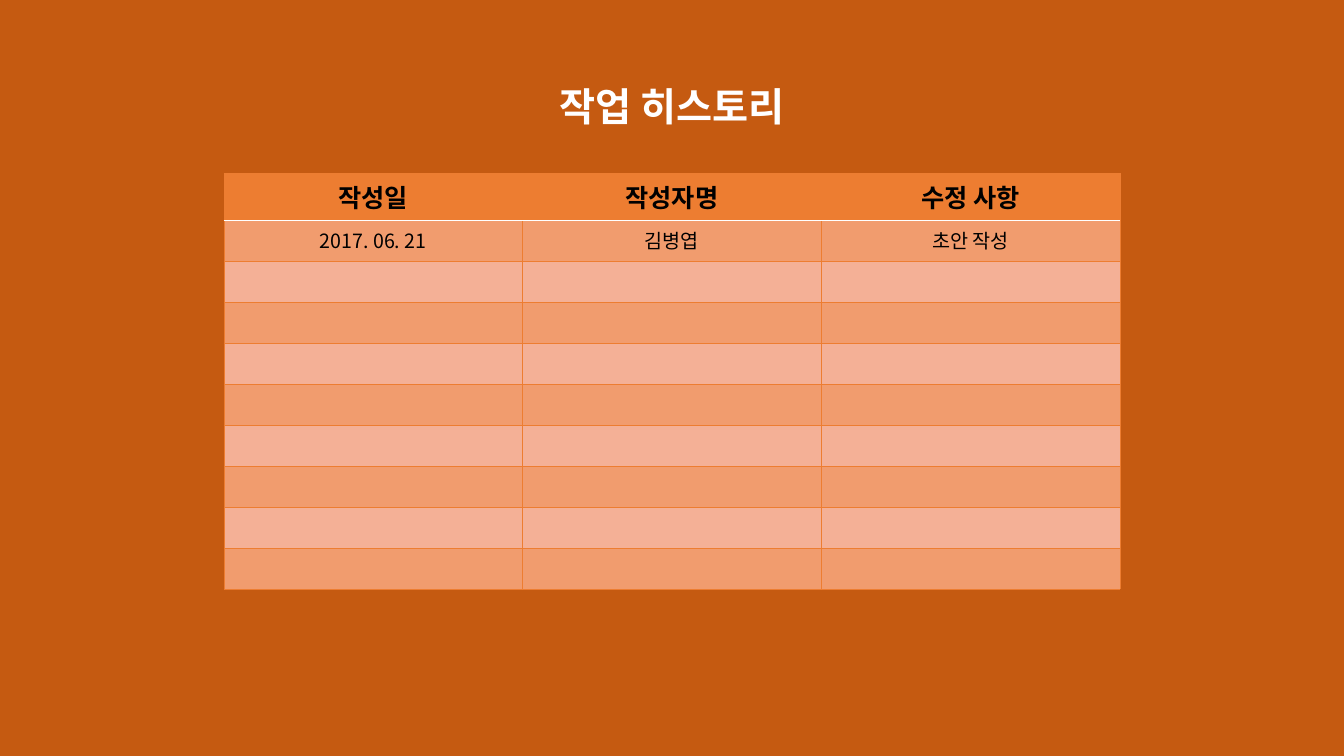
"""Build the work history slide with its revision table."""
from lxml import etree
from pptx import Presentation
from pptx.dml.color import RGBColor
from pptx.enum import text as t
from pptx.oxml import ns
from pptx.util import Inches, Pt

TITLE = "작업 히스토리"
HEADERS = ("작성일", "작성자명", "수정 사항")
ENTRIES = [("2017. 06. 21", "김병엽", "초안 작성")]
BODY_ROWS = 9

THEME = {
    "font": "Noto Sans CJK KR",
    "back": "C55A11", "accent": "ED7D31", "bands": ("F19C6E", "F4B096"),
    "light": "FFFFFF", "dark": "000000",
    "title": 28, "header": 18, "body": 14,
    "grid": 0.5, "rule": 1,
}
WIDTH, HEIGHT = 13.33, 7.5
TABLE_W, TABLE_TOP, HEADER_H, ROW_H = 8.89, 1.72, 0.47, 0.406
TITLE_W, TITLE_TOP, TITLE_H = 2.53, 0.77, 0.57


def write(p, words, size, color, bold=False):
    p.text = words
    p.alignment = t.PP_ALIGN.CENTER
    f = p.font
    f.size, f.bold, f.name = Pt(size), bold, THEME["font"]
    f.color.rgb = RGBColor.from_string(color)
    ea = etree.SubElement(p._p.pPr.find(ns.qn("a:defRPr")), ns.qn("a:ea"))
    ea.set("typeface", THEME["font"])


def paint(fill, color):
    fill.solid()
    fill.fore_color.rgb = RGBColor.from_string(color)


def add_borders(cell, sides):
    tc_pr = cell._tc.get_or_add_tcPr()
    for i, (side, (color, width)) in enumerate(sides.items()):
        ln = etree.Element(ns.qn(f"a:ln{side}"), w=str(Pt(width)))
        solid = etree.SubElement(ln, ns.qn("a:solidFill"))
        etree.SubElement(solid, ns.qn("a:srgbClr"), val=color)
        tc_pr.insert(i, ln)


def add_history(s):
    blanks = [("",) * len(HEADERS)] * (BODY_ROWS - len(ENTRIES))
    rows = [HEADERS] + ENTRIES + blanks
    table = s.shapes.add_table(
        len(rows), len(HEADERS), Inches((WIDTH - TABLE_W) / 2), Inches(TABLE_TOP),
        Inches(TABLE_W), Inches(HEADER_H + BODY_ROWS * ROW_H)).table
    grid, rule = (THEME["accent"], THEME["grid"]), (THEME["light"], THEME["rule"])
    for r, row in enumerate(rows):
        head = r == 0
        table.rows[r].height = Inches(HEADER_H if head else ROW_H)
        sides = dict.fromkeys("LRTB", grid)
        if head:
            sides["B"] = rule
        elif r == 1:
            sides["T"] = rule
        for c, words in enumerate(row):
            cell = table.cell(r, c)
            paint(cell.fill, THEME["accent"] if head else THEME["bands"][(r - 1) % 2])
            add_borders(cell, sides)
            write(cell.text_frame.paragraphs[0], words,
                  THEME["header" if head else "body"], THEME["dark"], head)


def add_title(s):
    box = s.shapes.add_textbox(Inches((WIDTH - TITLE_W) / 2), Inches(TITLE_TOP),
                               Inches(TITLE_W), Inches(TITLE_H))
    tf = box.text_frame
    tf.word_wrap = False
    tf.auto_size = t.MSO_AUTO_SIZE.SHAPE_TO_FIT_TEXT
    write(tf.paragraphs[0], TITLE, THEME["title"], THEME["light"], True)


prs = Presentation()
prs.slide_width, prs.slide_height = Inches(WIDTH), Inches(HEIGHT)
s = prs.slides.add_slide(prs.slide_layouts[6])
paint(s.background.fill, THEME["back"])
add_history(s)
add_title(s)
prs.save("out.pptx")
